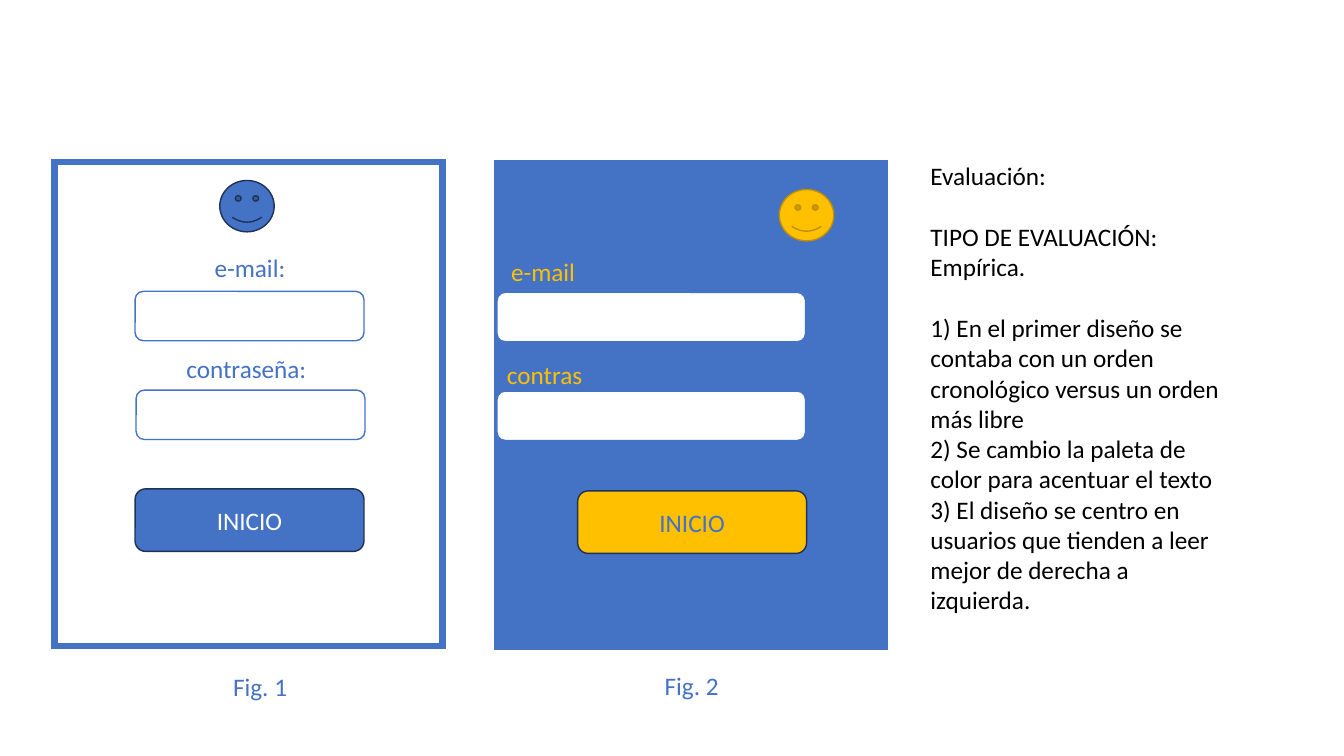
from dataclasses import dataclass
from typing import Optional

import lxml.etree
import pptx
import pptx.dml.color
import pptx.enum.shapes
import pptx.enum.text
import pptx.oxml.ns
import pptx.util

Inches = pptx.util.Inches
Pt = pptx.util.Pt
RGBColor = pptx.dml.color.RGBColor
Geometry = pptx.enum.shapes.MSO_SHAPE
Align = pptx.enum.text.PP_ALIGN
qn = pptx.oxml.ns.qn

BLUE = RGBColor(0x44, 0x72, 0xC4)
NAVY = RGBColor(0x1E, 0x32, 0x56)
GOLD = RGBColor(0xFF, 0xC0, 0x00)
DARK_GOLD = RGBColor(0xBF, 0x90, 0x00)
WHITE = RGBColor(0xFF, 0xFF, 0xFF)
BLACK = RGBColor(0x00, 0x00, 0x00)

FONT = "Calibri"
TEXT_SIZE = Pt(18)
SECTION_GAP = Pt(22)


@dataclass
class Line:
    text: str
    color: RGBColor
    gap: Optional[int] = None


@dataclass
class Block:
    geometry: Geometry
    left: float
    top: float
    width: float
    height: float
    fill: Optional[RGBColor]
    outline: RGBColor
    weight: float = 1
    caption: Optional[Line] = None


@dataclass
class Label:
    left: float
    top: float
    width: float
    lines: list[Line]
    height: float = 0.4
    align: Align = Align.LEFT


def write_lines(frame, lines: list[Line], align: Align) -> None:
    for index, line in enumerate(lines):
        paragraph = frame.add_paragraph() if index else frame.paragraphs[0]
        paragraph.alignment = align
        if line.gap is not None:
            paragraph.space_before = line.gap
        run = paragraph.add_run()
        run.text = line.text
        run.font.name = FONT
        run.font.size = TEXT_SIZE
        run.font.color.rgb = line.color


def draw_block(slide, block: Block) -> None:
    shape = slide.shapes.add_shape(
        block.geometry, Inches(block.left), Inches(block.top),
        Inches(block.width), Inches(block.height))
    shape.shadow.inherit = False
    if block.fill is None:
        shape.fill.background()
    else:
        shape.fill.solid()
        shape.fill.fore_color.rgb = block.fill
    shape.line.color.rgb = block.outline
    shape.line.width = Pt(block.weight)
    # Sharp outline corners
    outline = shape.element.spPr.find(qn("a:ln"))
    lxml.etree.SubElement(outline, qn("a:miter"), lim="800000")
    if block.caption:
        shape.text_frame.vertical_anchor = pptx.enum.text.MSO_ANCHOR.MIDDLE
        write_lines(shape.text_frame, [block.caption], Align.CENTER)


def draw_label(slide, label: Label) -> None:
    box = slide.shapes.add_textbox(
        Inches(label.left), Inches(label.top),
        Inches(label.width), Inches(label.height))
    frame = box.text_frame
    frame.word_wrap = True
    frame.auto_size = pptx.enum.text.MSO_AUTO_SIZE.SHAPE_TO_FIT_TEXT
    write_lines(frame, label.lines, label.align)


def panel(left: float, top: float, fill: Optional[RGBColor]) -> Block:
    return Block(Geometry.RECTANGLE, left, top, 3.85, 4.8, fill, BLUE, 4.5)


def button(left: float, top: float, fill: RGBColor, ink: RGBColor) -> Block:
    return Block(Geometry.ROUNDED_RECTANGLE, left, top, 2.27, 0.62, fill, NAVY,
                 caption=Line("INICIO", ink))


def field(left: float, top: float, width: float, fill: Optional[RGBColor]) -> Block:
    return Block(Geometry.ROUNDED_RECTANGLE, left, top, width, 0.49, fill, BLUE)


def face(left: float, top: float, fill: RGBColor, outline: RGBColor) -> Block:
    return Block(Geometry.SMILEY_FACE, left, top, 0.54, 0.51, fill, outline)


def field_name(left: float, top: float, width: float, text: str, ink: RGBColor) -> Label:
    return Label(left, top, width, [Line(text, ink)])


def figure_name(left: float, top: float, text: str) -> Label:
    return Label(left, top, 2.04, [Line(text, BLUE)], align=Align.CENTER)


FIRST_DESIGN = [
    panel(0.54, 1.61, None),
    button(1.34, 4.85, BLUE, WHITE),
    field(1.34, 2.89, 2.27, None),
    field(1.35, 3.87, 2.27, None),
    field_name(2.03, 2.45, 0.95, "e-mail:", BLUE),
    field_name(1.75, 3.46, 1.45, "contraseña:", BLUE),
    face(2.18, 1.79, BLUE, NAVY),
]

SECOND_DESIGN = [
    panel(4.93, 1.62, BLUE),
    button(5.73, 4.87, GOLD, BLUE),
    field(4.93, 2.9, 3.06, WHITE),
    field(4.93, 3.88, 3.06, WHITE),
    field_name(4.97, 2.49, 0.91, "e-mail", GOLD),
    field_name(4.93, 3.52, 1.41, "contras", GOLD),
    face(7.73, 1.88, GOLD, DARK_GOLD),
]

FIGURE_NAMES = [figure_name(1.56, 6.61, "Fig. 1"), figure_name(5.84, 6.6, "Fig. 2")]

EVALUATION = Label(9.13, 1.54, 3.07, [
    Line("Evaluación:", BLACK),
    Line("TIPO DE EVALUACIÓN: Empírica.", BLACK, SECTION_GAP),
    Line("1) En el primer diseño se contaba con un orden cronológico "
         "versus un orden más libre", BLACK, SECTION_GAP),
    Line("2) Se cambio la paleta de color para acentuar el texto", BLACK),
    Line("3) El diseño se centro en usuarios que tienden a leer mejor "
         "de derecha a izquierda.", BLACK),
], height=4.64)


def main() -> None:
    deck = pptx.Presentation()
    deck.slide_width = Inches(13.33)
    deck.slide_height = Inches(7.5)
    slide = deck.slides.add_slide(deck.slide_layouts[6])

    # Both login designs, their captions and the evaluation, back to front
    for part in [*FIRST_DESIGN, *SECOND_DESIGN, *FIGURE_NAMES, EVALUATION]:
        if isinstance(part, Block):
            draw_block(slide, part)
        else:
            draw_label(slide, part)

    deck.save("out.pptx")


if __name__ == "__main__":
    main()
